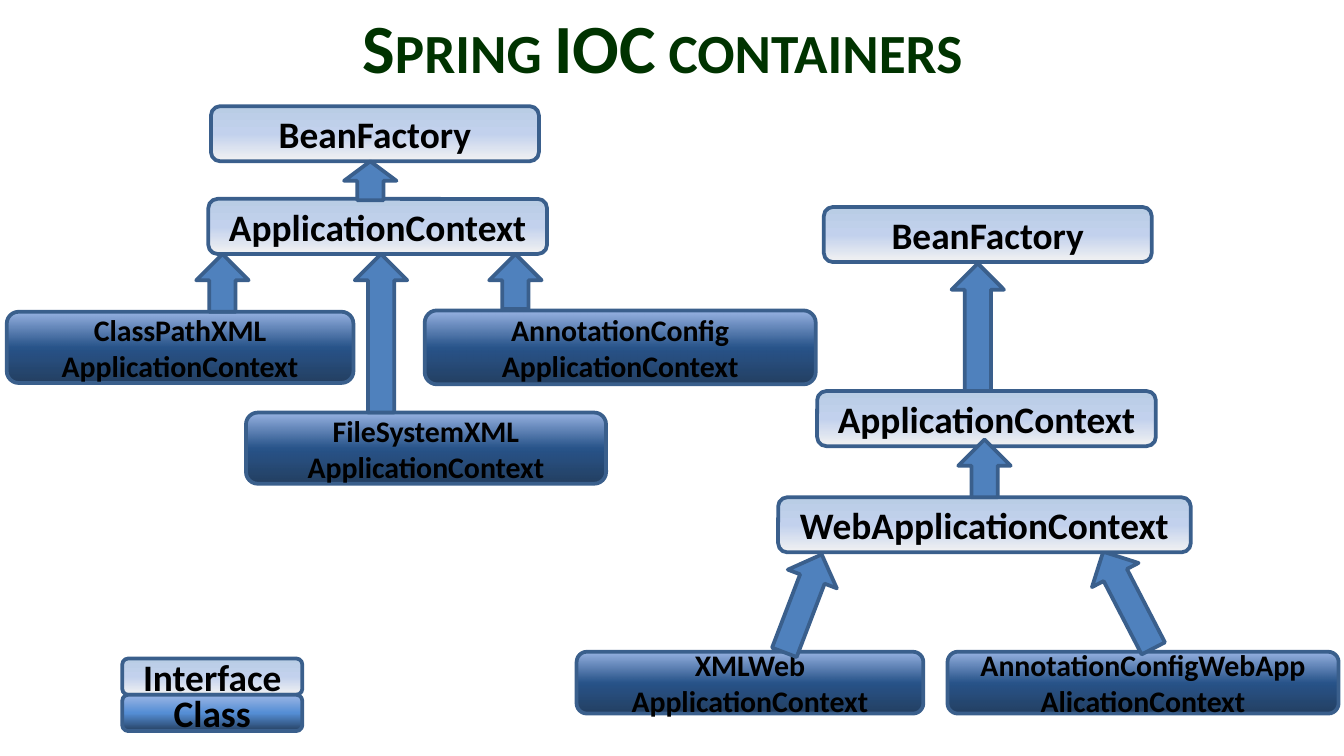
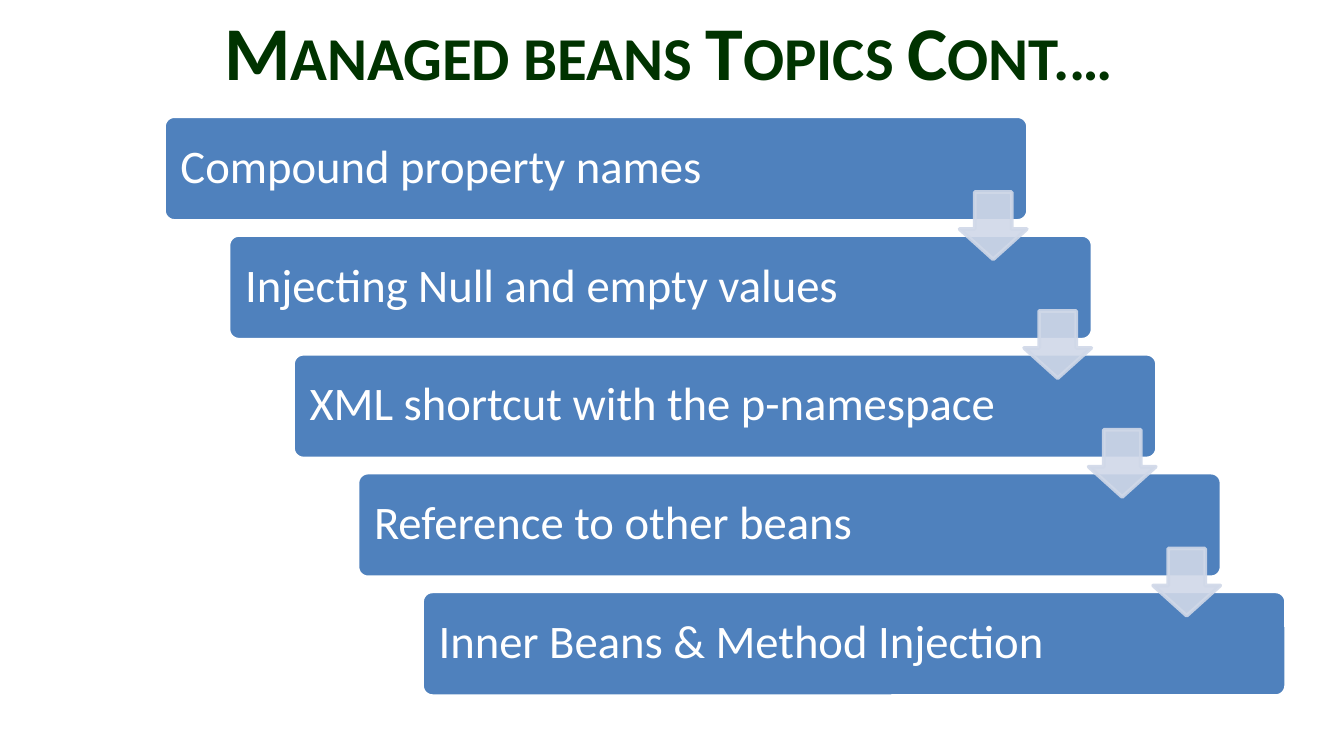
"""Build two slides on Spring containers and managed beans."""
import copy
from dataclasses import dataclass

import lxml.etree
import pptx
import pptx.dml.color
import pptx.enum.shapes
import pptx.enum.text
import pptx.oxml.ns
import pptx.presentation
import pptx.shapes.autoshape
import pptx.shapes.shapetree
import pptx.slide
import pptx.text.text
import pptx.util

CELL = 0.1
COLUMNS, ROWS = 100, 56.25
FONT = "Calibri"
COLOURS = {
    "title": "003300", "text": "000000", "light": "FFFFFF",
    "blue": "4F81BD", "outline": "3A5F8C", "pale": "D0D8E8",
}
GRADIENTS = {
    "interface": (("B9CDE5", 100), ("C2D1ED", 100), ("F2F2F2", 100)),
    "class": (("9AB5E4", 100), ("214E86", 96), ("254061", 100)),
    "class key": (("9AB5E4", 100), ("558ED5", 100), ("254061", 100)),
}
SHAPES = pptx.enum.shapes.MSO_SHAPE
ALIGN = pptx.enum.text.PP_ALIGN


@dataclass(frozen=True)
class Area:
    """A rectangle in grid columns and rows."""
    left: float
    top: float
    width: float
    height: float

    def lengths(self) -> tuple[int, ...]:
        """Return left, top, width and height as lengths."""
        cells = (self.left, self.top, self.width, self.height)
        return tuple(pptx.util.Inches(cell * CELL) for cell in cells)

    def shifted(self, columns: float, rows: float) -> "Area":
        """Return the same rectangle moved along the grid."""
        return Area(self.left + columns, self.top + rows, self.width, self.height)


@dataclass(frozen=True)
class Node:
    """A labelled type in the container hierarchy."""
    text: str
    area: Area
    kind: str = "interface"
    size: float = 20


@dataclass(frozen=True)
class Arrow:
    """An arrow from a type to its parent."""
    left: float
    top: float
    height: float
    rotation: float = 180


HIERARCHY = (
    Node("BeanFactory", Area(15.7, 7.9, 24.4, 4.1)),
    Node("ApplicationContext", Area(15.5, 14.8, 25.2, 4.1)),
    Node("ClassPathXML\nApplicationContext", Area(0.5, 23.2, 25.8, 5.3), "class", 16),
    Node("FileSystemXML\nApplicationContext", Area(18.3, 30.7, 26.8, 5.3), "class", 16),
    Node("AnnotationConfig\nApplicationContext", Area(31.6, 23.1, 29.1, 5.5), "class", 16),
    Arrow(25.6, 12, 2.9),
    Arrow(14.6, 18.9, 4.3),
    Arrow(36.4, 18.9, 4.1),
    Arrow(26.4, 18.9, 11.8),
    Node("BeanFactory", Area(61.3, 15.4, 24.4, 4.1)),
    Node("ApplicationContext", Area(60.8, 29.1, 25.2, 4.1)),
    Node("XMLWeb\nApplicationContext", Area(42.9, 48.5, 25.8, 4.6), "class", 16),
    Node("AnnotationConfigWebApp\nAlicationContext", Area(70.5, 48.5, 29.1, 4.6), "class", 16),
    Arrow(70.8, 19.6, 9.5),
    Arrow(57.8, 41, 7.8, 200.9),
    Arrow(82, 40.6, 8.1, 152.6),
    Node("WebApplicationContext", Area(57.9, 37, 30.7, 4.1)),
    Arrow(71.3, 32.7, 4.3),
    Node("Interface", Area(9.1, 49, 13.4, 2.7)),
    Node("Class", Area(9.1, 51.7, 13.4, 2.7), "class key"),
)
ARROW_WIDTH = 3.9

TOPICS = (
    "Compound property names",
    "Injecting Null and empty values",
    "XML shortcut with the p-namespace",
    "Reference to other beans",
    "Inner Beans & Method Injection",
)
STEP_COLUMNS, STEP_ROWS = 4.8, 8.84
TOPIC_BAR = Area(12.2, 8.64, 64.3, 7.8)
TOPIC_TEXT = Area(12.45, 8.87, 54, 7.3)
TOPIC_ARROW = Area(71.4, 14.3, 5, 5)


def colour(name: str) -> pptx.dml.color.RGBColor:
    """Return a named colour, or a hex string, as a colour value."""
    return pptx.dml.color.RGBColor.from_string(COLOURS.get(name, name))


def set_opacity(parent: lxml.etree._Element, percent: int) -> None:
    """Make every plain colour under an element partly transparent."""
    for element in parent.iter(pptx.oxml.ns.qn("a:srgbClr")):
        alpha = lxml.etree.SubElement(element, pptx.oxml.ns.qn("a:alpha"))
        alpha.set("val", str(percent * 1000))


def format_text(text_frame: pptx.text.text.TextFrame, size: float, name: str,
                bold: bool, alignment: ALIGN) -> None:
    """Format all the runs and paragraphs of a text frame."""
    text_frame.word_wrap = True
    text_frame.auto_size = pptx.enum.text.MSO_AUTO_SIZE.NONE
    text_frame.vertical_anchor = pptx.enum.text.MSO_ANCHOR.MIDDLE
    for paragraph in text_frame.paragraphs:
        paragraph.alignment = alignment
        for run in paragraph.runs:
            run.font.name = FONT
            run.font.size = pptx.util.Pt(size)
            run.font.bold = bold
            run.font.color.rgb = colour(name)


def add_titled_slide(presentation: pptx.presentation.Presentation, text: str,
                     area: Area, size: float) -> pptx.slide.Slide:
    """Add a slide with a title in bold small capitals."""
    slide = presentation.slides.add_slide(presentation.slide_layouts[5])
    title = slide.shapes.title
    title.left, title.top, title.width, title.height = area.lengths()
    title.text_frame.text = text
    format_text(title.text_frame, size, "title", True, ALIGN.CENTER)
    for run in title.text_frame.paragraphs[0].runs:
        run._r.get_or_add_rPr().set("cap", "small")
    return slide


def add_block(shapes: pptx.shapes.shapetree._BaseGroupShapes, preset: SHAPES,
              area: Area, fill: str, line: str) -> pptx.shapes.autoshape.Shape:
    """Add a flat preset shape with a plain fill and outline."""
    shape = shapes.add_shape(preset, *area.lengths())
    shape.shadow.inherit = False
    shape.fill.solid()
    shape.fill.fore_color.rgb = colour(fill)
    shape.line.color.rgb = colour(line)
    shape.line.width = pptx.util.Pt(2)
    return shape


def fill_gradient(shape: pptx.shapes.autoshape.Shape, kind: str) -> None:
    """Fill a shape from top to bottom with three evenly spaced colours."""
    shape.fill.gradient()
    shape.fill.gradient_angle = 270
    stop_list = next(shape.element.iter(pptx.oxml.ns.qn("a:gsLst")))
    stop_list.insert(1, copy.deepcopy(stop_list[0]))
    for index, (stop, (value, opacity)) in enumerate(
            zip(shape.fill.gradient_stops, GRADIENTS[kind])):
        stop.position = index / 2
        stop.color.rgb = colour(value)
        if opacity < 100:
            set_opacity(stop_list[index], opacity)


def draw_node(slide: pptx.slide.Slide, node: Node) -> None:
    """Draw one type of the hierarchy."""
    shape = add_block(slide.shapes, SHAPES.ROUNDED_RECTANGLE, node.area, "blue", "outline")
    fill_gradient(shape, node.kind)
    shape.text_frame.text = node.text
    format_text(shape.text_frame, node.size, "text", True, ALIGN.CENTER)


def draw_arrow(slide: pptx.slide.Slide, arrow: Arrow) -> None:
    """Draw one arrow of the hierarchy."""
    area = Area(arrow.left, arrow.top, ARROW_WIDTH, arrow.height)
    shape = add_block(slide.shapes, SHAPES.DOWN_ARROW, area, "blue", "outline")
    shape.rotation = arrow.rotation


def draw_topics(slide: pptx.slide.Slide) -> None:
    """Draw the topics as a staircase joined by arrows."""
    shapes = slide.shapes.add_group_shape().shapes
    for index, topic in enumerate(TOPICS):
        offset = index * STEP_COLUMNS, index * STEP_ROWS
        bar = add_block(shapes, SHAPES.ROUNDED_RECTANGLE, TOPIC_BAR.shifted(*offset),
                        "blue", "light")
        bar.adjustments[0] = 0.1
        label = shapes.add_textbox(*TOPIC_TEXT.shifted(*offset).lengths())
        text_frame = label.text_frame
        text_frame.text = topic
        text_frame.margin_top = text_frame.margin_bottom = pptx.util.Inches(CELL)
        format_text(text_frame, 25, "light", False, ALIGN.LEFT)
        text_frame.paragraphs[0].line_spacing = 0.9
        text_frame.paragraphs[0].space_after = pptx.util.Pt(8.75)
    for index in range(len(TOPICS) - 1):
        area = TOPIC_ARROW.shifted(index * STEP_COLUMNS, index * STEP_ROWS)
        arrow = add_block(shapes, SHAPES.DOWN_ARROW, area, "pale", "pale")
        arrow.adjustments[0], arrow.adjustments[1] = 0.55, 0.45
        set_opacity(arrow.element.spPr, 90)


def main() -> None:
    """Build and save the presentation."""
    presentation = pptx.Presentation()
    presentation.slide_width = pptx.util.Inches(COLUMNS * CELL)
    presentation.slide_height = pptx.util.Inches(ROWS * CELL)
    containers = add_titled_slide(presentation, "Spring IOC containers",
                                  Area(-1.4, -0.1, 101.4, 7), 37)
    for item in HIERARCHY:
        if isinstance(item, Node):
            draw_node(containers, item)
        else:
            draw_arrow(containers, item)
    topics = add_titled_slide(presentation, "Managed beans Topics Cont.…",
                              Area(-0.6, -0.1, 100.7, 7.6), 40.7)
    draw_topics(topics)
    presentation.save("out.pptx")


if __name__ == "__main__":
    main()
